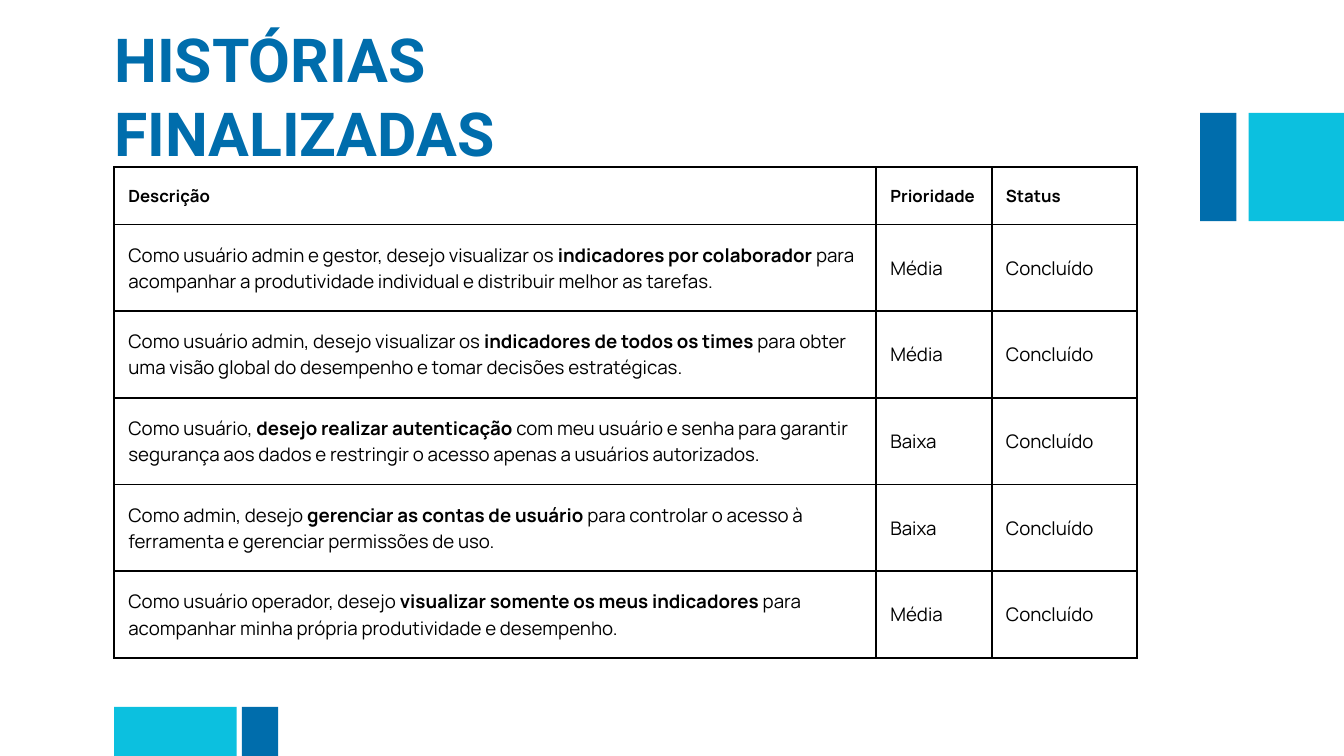
from lxml import etree
from pptx import Presentation
from pptx.dml.color import RGBColor
from pptx.enum.shapes import MSO_SHAPE
from pptx.enum.text import MSO_ANCHOR
from pptx.oxml.ns import qn
from pptx.util import Pt

RECT = MSO_SHAPE.RECTANGLE
MIDDLE = MSO_ANCHOR.MIDDLE
PX = 9144  # EMU per px, 100 px to the inch

COLORS = {"cyan": "0CC0DF", "blue": "006DAC", "black": "000000"}
TITLE = {"name": "Roboto", "size": Pt(65), "bold": True}
HEADER = {"name": "Manrope", "size": Pt(18), "bold": True}
BODY = {"name": "Manrope", "size": Pt(20), "bold": False}
BOLD = {**BODY, "bold": True}


def px(n):
    return round(n * PX)


def rgb(color):
    return RGBColor.from_string(COLORS[color])


class Deck:
    def __init__(self, width, height):
        self.prs = Presentation()
        self.prs.slide_width, self.prs.slide_height = px(width), px(height)
        self.s = self.prs.slides.add_slide(self.prs.slide_layouts[6])

    def run(self, p, text, style, color):
        r = p.add_run()
        r.text = text
        for key, value in style.items():
            setattr(r.font, key, value)
        r.font.color.rgb = rgb(color)

    def margins(self, obj, size):
        for side in ("left", "right", "top", "bottom"):
            setattr(obj, f"margin_{side}", px(size))

    def block(self, x, y, w, h, color):
        sp = self.s.shapes.add_shape(RECT, px(x), px(y), px(w), px(h))
        sp.shadow.inherit = False
        sp.fill.solid()
        sp.fill.fore_color.rgb = rgb(color)
        sp.line.fill.background()

    def text(self, x, y, w, h, text, style, color, spacing):
        tf = self.s.shapes.add_textbox(px(x), px(y), px(w), px(h)).text_frame
        tf.word_wrap = True
        self.margins(tf, 0)
        p = tf.paragraphs[0]
        p.line_spacing = Pt(spacing)
        self.run(p, text, style, color)

    def borders(self, cell, color, width):
        tc_pr = cell._tc.get_or_add_tcPr()
        for i, side in enumerate("LRTB"):
            ln = etree.Element(qn(f"a:ln{side}"), w=str(Pt(width)))
            fill = etree.SubElement(ln, qn("a:solidFill"))
            etree.SubElement(fill, qn("a:srgbClr"), val=COLORS[color])
            tc_pr.insert(i, ln)

    def cell(self, cell, runs, spacing):
        cell.fill.background()
        cell.vertical_anchor = MIDDLE
        self.margins(cell, 21)
        self.borders(cell, "black", 2.25)
        p = cell.text_frame.paragraphs[0]
        p.line_spacing = Pt(spacing)
        for text, style in runs:
            self.run(p, text, style, "black")

    def table(self, x, y, widths, heights, rows):
        table = self.s.shapes.add_table(
            len(heights), len(widths), px(x), px(y), px(sum(widths)), px(sum(heights))
        ).table
        table.first_row = table.horz_banding = False
        for column, w in zip(table.columns, widths):
            column.width = px(w)
        for i, (row, h) in enumerate(zip(rows, heights)):
            table.rows[i].height = px(h)
            for j, runs in enumerate(row):
                self.cell(table.cell(i, j), runs, 28 if i else 25.2)


# Each story: text before, bold text, text after, priority
STORIES = [
    ("Como usuário admin e gestor, desejo visualizar os ",
     "indicadores por colaborador",
     " para acompanhar a produtividade individual e distribuir melhor as tarefas.",
     "Média"),
    ("Como usuário admin, desejo visualizar os ",
     "indicadores de todos os times ",
     "para obter uma visão global do desempenho e tomar decisões estratégicas.",
     "Média"),
    ("Como usuário, ",
     "desejo realizar autenticação",
     " com meu usuário e senha para garantir segurança aos dados"
     " e restringir o acesso apenas a usuários autorizados.",
     "Baixa"),
    ("Como admin, desejo ",
     "gerenciar as contas de usuário",
     " para controlar o acesso à ferramenta e gerenciar permissões de uso.",
     "Baixa"),
    ("Como usuário operador, desejo",
     " visualizar somente os meus indicadores",
     " para acompanhar minha própria produtividade e desempenho.",
     "Média"),
]


def main():
    deck = Deck(2000, 1125)

    # Corner blocks
    for x, y, w, color in [
        (1858, 168, 182, "cyan"),
        (170, 1052, 182, "cyan"),
        (1786, 168, 54, "blue"),
        (360, 1052, 54, "blue"),
    ]:
        deck.block(x, y, w, 161, color)

    # Finished stories
    rows = [[[(name, HEADER)] for name in ("Descrição", "Prioridade", "Status")]]
    for before, key, after, priority in STORIES:
        story = [(before, BODY), (key, BOLD), (after, BODY)]
        rows.append([story, [(priority, BODY)], [("Concluído", BODY)]])
    deck.table(170, 249, [1134, 172, 216], [85] + [129] * len(STORIES), rows)

    # Title
    deck.text(170, 30, 1038, 219, "HISTÓRIAS FINALIZADAS", TITLE, "blue", 79.3)

    deck.prs.save("out.pptx")


if __name__ == "__main__":
    main()
